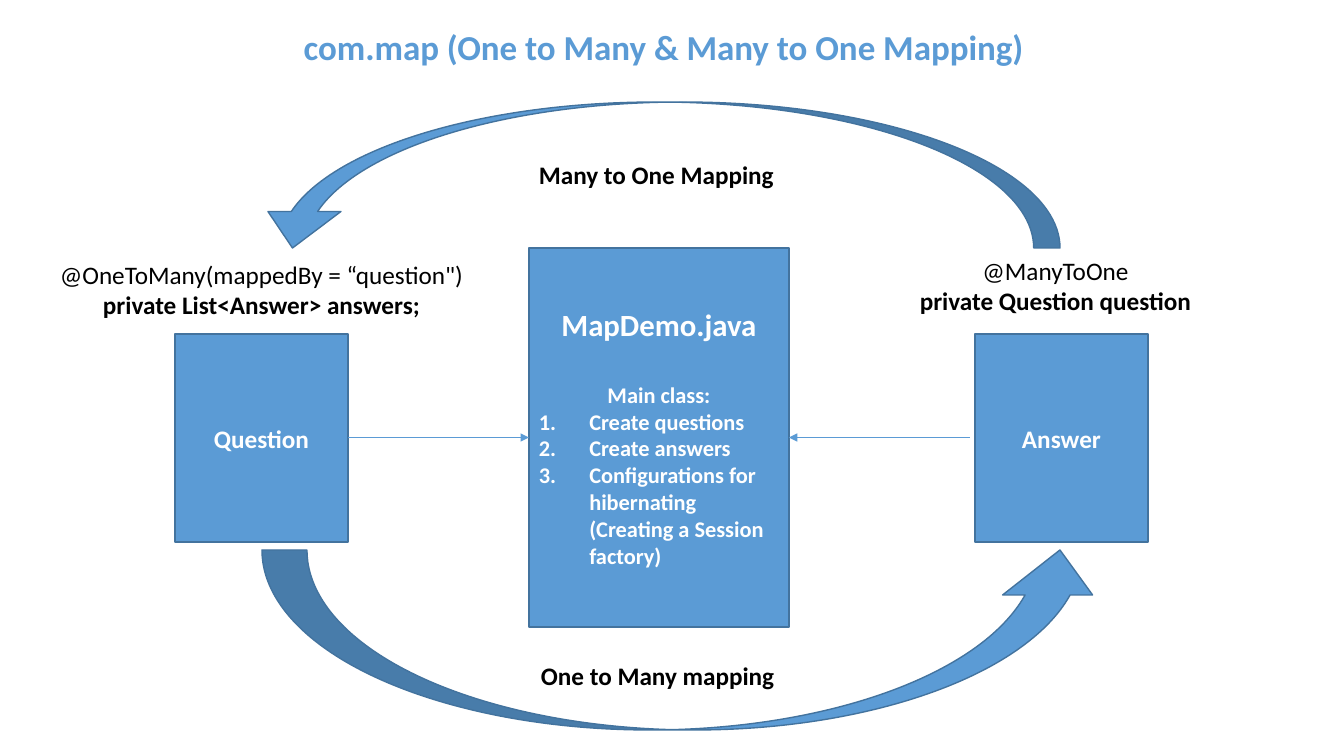
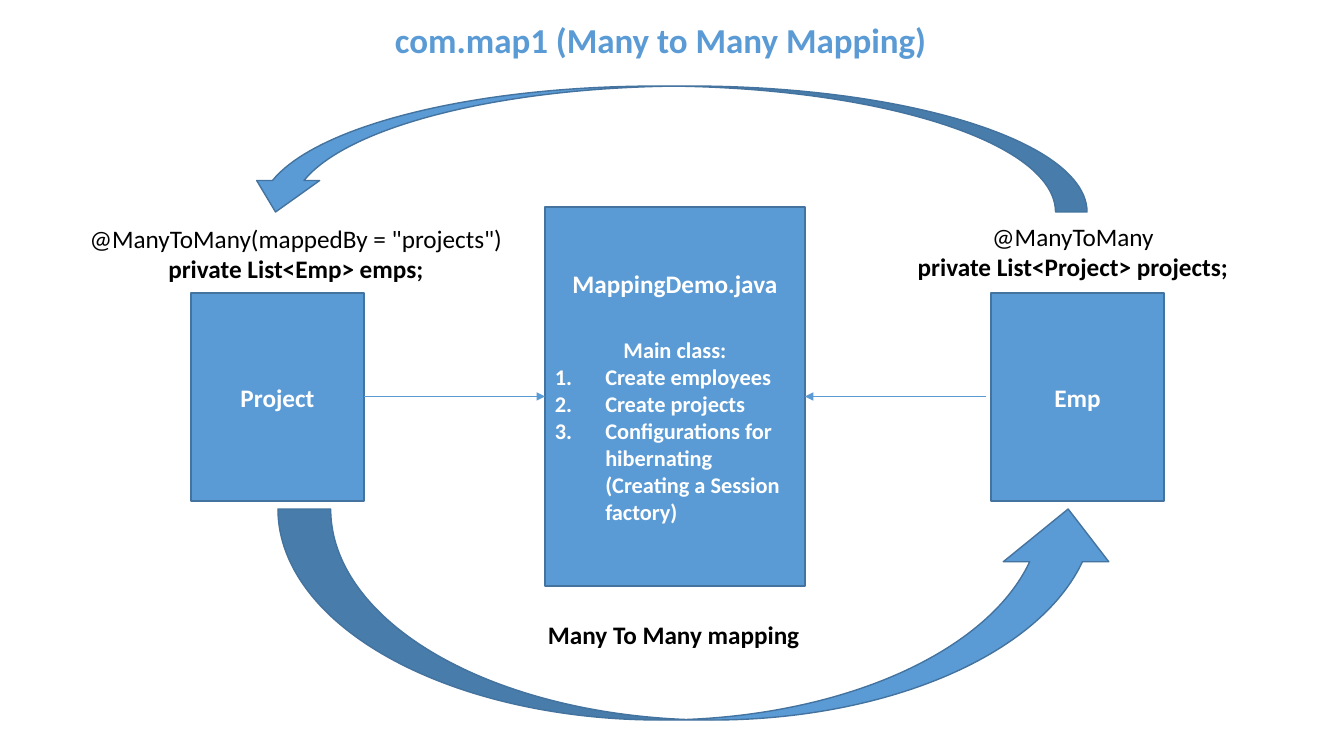
"""Build two slides that show entity mappings around a main class."""
from lxml.etree import SubElement
from pptx import Presentation
from pptx.dml.color import RGBColor
from pptx.enum.shapes import MSO_CONNECTOR, MSO_SHAPE as SHAPE
from pptx.enum.text import MSO_ANCHOR as ANCHOR, MSO_AUTO_SIZE as AUTO, PP_ALIGN as ALIGN
from pptx.oxml.ns import qn
from pptx.util import Emu, Pt

PX = 914400 / 100.8
BLUE, EDGE, WHITE, BLACK = "5B9BD5", "43739E", "FFFFFF", "000000"
FONT = "Calibri"
MAIN_W, MAIN_H = 260, 379
ENTITY_W, ENTITY_H, ENTITY_DY = 173, 208, 86
LEFT_DX, RIGHT_DX = -354, 446
LINK_W, LINK_GAP = 181, 441
ARC_DX, ARC_DY, ARC_W = -267, 302, 843
CAPTION_DY, CAPTION_H, NOTE_H = 407, 40, 72
TITLE_W, TITLE_H = 1159, 146
CONFIG = "Configurations for hibernating (Creating a Session factory)"

SLIDES = [
    {"title": "com.map (One to Many & Many to One Mapping)", "title_at": (84, -24),
     "origin": (529, 248), "main": ("MapDemo.java", 22),
     "steps": ["Create questions", "Create answers", CONFIG],
     "entities": ["Question", "Answer"],
     "notes": [((45, 254, 433), True,
                ["@OneToMany(mappedBy = “question\")", "private List<Answer> answers;"]),
               ((909, 250, 293), False, ["@ManyToOne", "private Question question"])],
     "caption": ("One to Many mapping", 256), "arc_h": 180,
     "top_caption": ("Many to One Mapping", (529, 154, 257)),
     "top_arc": (SHAPE.CURVED_RIGHT_ARROW, (585, -227, 146, 804), 90, (0.18, 0.5, 0.25))},
    {"title": "com.map1 (Many to Many Mapping)", "title_at": (81, -31),
     "origin": (545, 207), "main": ("MappingDemo.java", 18),
     "steps": ["Create employees", "Create projects", CONFIG],
     "entities": ["Project", "Emp"],
     "notes": [((73, 218, 446), True,
                ["@ManyToMany(mappedBy = \"projects\")", "private List<Emp> emps;"]),
               ((906, 216, 334), False, ["@ManyToMany", "private List<Project> projects;"])],
     "caption": ("Many To Many mapping", 274), "arc_h": 211,
     "top_caption": None,
     "top_arc": (SHAPE.CURVED_UP_ARROW, (244, 86, 843, 126), 180, ())},
]


def px(*values):
    return [Emu(round(v * PX)) for v in values]


def rgb(code):
    return RGBColor.from_string(code)


def apply(obj, **values):
    for name, value in values.items():
        setattr(obj, name, value)


def write(tf, lines, color, align=ALIGN.CENTER):
    """Fill a text frame with (text, size, bold) lines and return the paragraphs."""
    paragraphs = []
    for i, (text, size, bold) in enumerate(lines):
        p = tf.add_paragraph() if i else tf.paragraphs[0]
        p.alignment = align
        r = p.add_run()
        r.text = text
        apply(r.font, name=FONT, size=Pt(size), bold=bold)
        r.font.color.rgb = rgb(color)
        paragraphs.append(p)
    return paragraphs


def add_block(s, kind, box, lines=(), rotation=0, adj=()):
    sp = s.shapes.add_shape(kind, *px(*box))
    sp.shadow.inherit = False
    sp.fill.solid()
    sp.fill.fore_color.rgb = rgb(BLUE)
    sp.line.color.rgb = rgb(EDGE)
    sp.line.width = Pt(1)
    sp.rotation = rotation
    for i, value in enumerate(adj):
        sp.adjustments[i] = value
    apply(sp.text_frame, word_wrap=True, vertical_anchor=ANCHOR.MIDDLE)
    return write(sp.text_frame, lines, WHITE)


def add_label(s, box, lines, wrap=False, align=ALIGN.LEFT):
    tf = s.shapes.add_textbox(*px(*box)).text_frame
    apply(tf, word_wrap=wrap, auto_size=AUTO.SHAPE_TO_FIT_TEXT)
    write(tf, lines, BLACK, align)


def add_link(s, x1, x2, y):
    c = s.shapes.add_connector(MSO_CONNECTOR.STRAIGHT, *px(x1, y, x2, y))
    c.line.color.rgb = rgb(BLUE)
    c.line.width = Pt(0.5)
    SubElement(c.line._get_or_add_ln(), qn("a:tailEnd"), type="triangle")
    SubElement(c._element.spPr, qn("a:effectLst"))


def number(p):
    p.alignment = ALIGN.LEFT
    pPr = p._p.get_or_add_pPr()
    pPr.set("marL", "457200")
    pPr.set("indent", "-457200")
    SubElement(pPr, qn("a:buFont"), typeface="+mj-lt")
    SubElement(pPr, qn("a:buAutoNum"), type="arabicPeriod")


def add_title(s, text, at):
    sp = s.shapes.title
    left, top, width, height = px(*at, TITLE_W, TITLE_H)
    apply(sp, left=left, top=top, width=width, height=height)
    apply(sp.text_frame, word_wrap=True, auto_size=AUTO.NONE, vertical_anchor=ANCHOR.MIDDLE)
    write(sp.text_frame, [(text, 25, True)], BLUE)[0].line_spacing = 0.9


def build(prs, d):
    s = prs.slides.add_slide(prs.slide_layouts[5])
    x, y = d["origin"]
    add_title(s, d["title"], d["title_at"])

    name, size = d["main"]
    lines = [(name, size, True)] + [(t, 16, True) for t in ["Main class:", *d["steps"]]]
    paragraphs = add_block(s, SHAPE.RECTANGLE, (x, y, MAIN_W, MAIN_H), lines)
    paragraphs[1].space_before = Pt(27)
    for p in paragraphs[2:]:
        number(p)

    for dx, entity in zip((LEFT_DX, RIGHT_DX), d["entities"]):
        box = (x + dx, y + ENTITY_DY, ENTITY_W, ENTITY_H)
        add_block(s, SHAPE.RECTANGLE, box, [(entity, 18, True)])
    middle = y + MAIN_H / 2
    add_link(s, x - LINK_W, x, middle)
    add_link(s, x + LINK_GAP, x + MAIN_W, middle)

    add_block(s, SHAPE.CURVED_UP_ARROW, (x + ARC_DX, y + ARC_DY, ARC_W, d["arc_h"]))
    kind, box, rotation, adj = d["top_arc"]
    add_block(s, kind, box, rotation=rotation, adj=adj)

    text, width = d["caption"]
    captions = [(text, (x + (MAIN_W - width) / 2, y + CAPTION_DY, width))]
    if d["top_caption"]:
        captions.append(d["top_caption"])
    for text, box in captions:
        add_label(s, (*box, CAPTION_H), [(text, 18, True)])
    for box, wrap, (annotation, field) in d["notes"]:
        lines = [(annotation, 18, False), (field, 18, True)]
        add_label(s, (*box, NOTE_H), lines, wrap, ALIGN.CENTER)


prs = Presentation()
prs.slide_width, prs.slide_height = px(1344, 756)
for d in SLIDES:
    build(prs, d)
prs.save("out.pptx")
